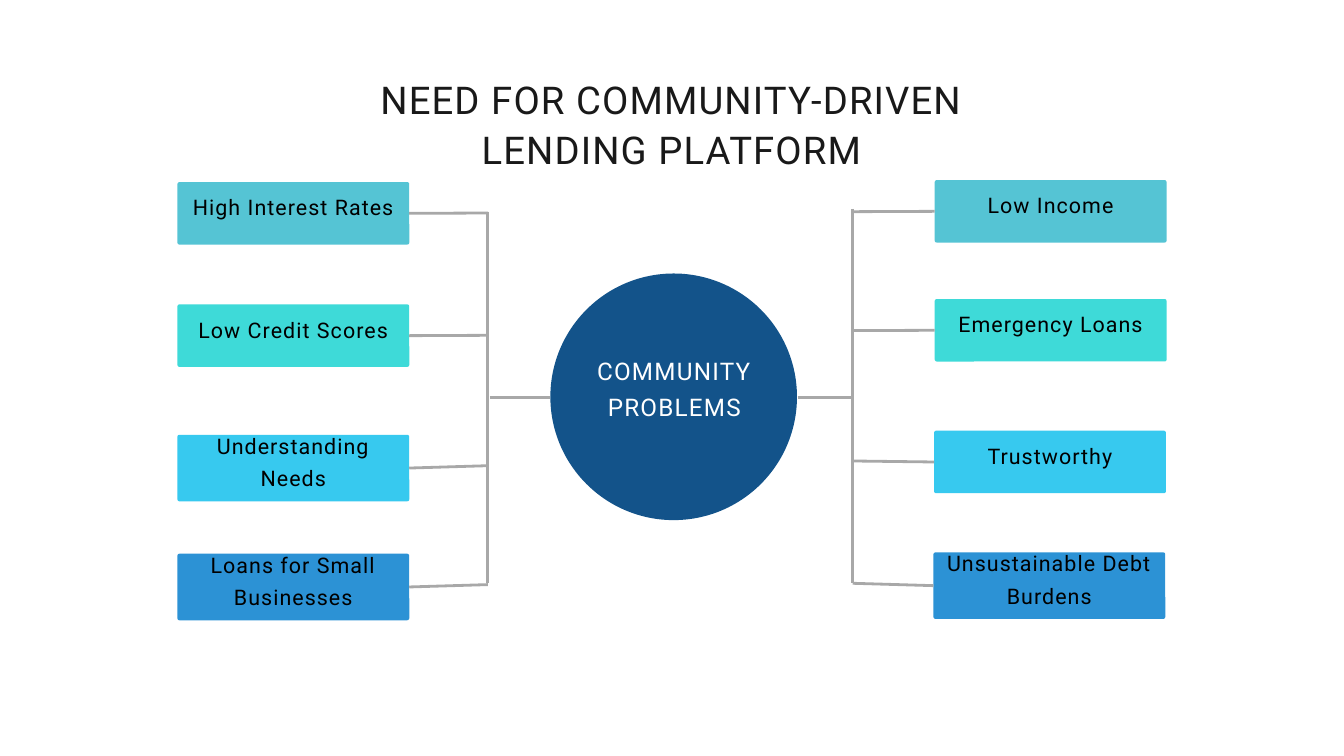
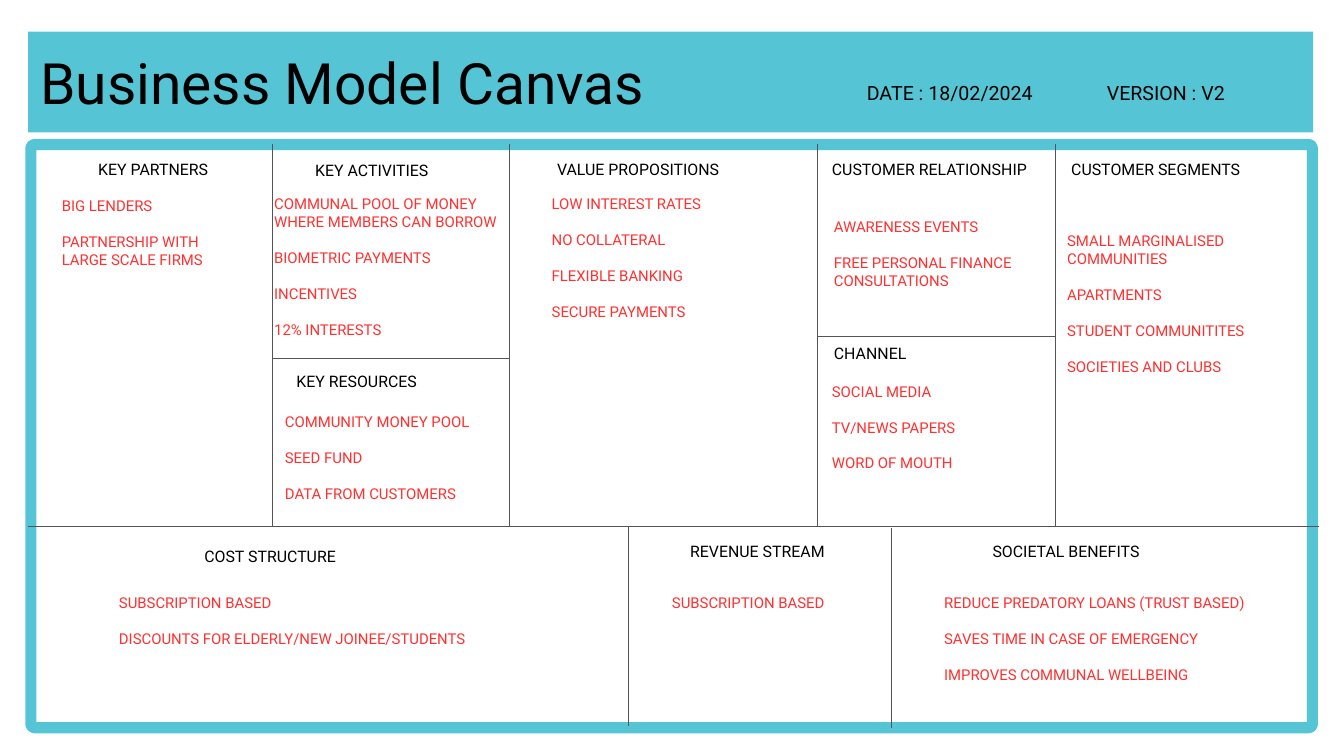
from pptx import Presentation
from pptx.dml.color import RGBColor
from pptx.enum.shapes import MSO_CONNECTOR, MSO_SHAPE
from pptx.enum.text import MSO_ANCHOR, PP_ALIGN
from pptx.oxml.ns import qn
from pptx.util import Inches, Pt
from lxml import etree

RECT, ROUNDED, OVAL = MSO_SHAPE.RECTANGLE, MSO_SHAPE.ROUNDED_RECTANGLE, MSO_SHAPE.OVAL
STRAIGHT = MSO_CONNECTOR.STRAIGHT
LEFT, CENTER = PP_ALIGN.LEFT, PP_ALIGN.CENTER
TOP, MIDDLE = MSO_ANCHOR.TOP, MSO_ANCHOR.MIDDLE

# Shared colours and font
FONT = "Roboto"
BLACK = RGBColor(0x00, 0x00, 0x00)
WHITE = RGBColor(0xFF, 0xFF, 0xFF)
INK = RGBColor(0x19, 0x19, 0x19)
RED = RGBColor(0xFF, 0x31, 0x31)
GREY = RGBColor(0xA8, 0xA8, 0xA8)
RULE = RGBColor(0x54, 0x54, 0x54)
NAVY = RGBColor(0x13, 0x53, 0x8A)
TEAL = RGBColor(0x55, 0xC4, 0xD4)
TURQUOISE = RGBColor(0x3E, 0xDA, 0xD8)
SKY = RGBColor(0x37, 0xC9, 0xEF)
BLUE = RGBColor(0x2C, 0x92, 0xD5)
ROW_COLORS = (TEAL, TURQUOISE, SKY, BLUE)

# Problem diagram: label, left, top, height, y where the branch meets the trunk
CARD_W = 3.45
LEFT_PROBLEMS = [
    ("High Interest Rates", 2.64, 2.71, 0.93, 3.17),
    ("Low Credit Scores", 2.64, 4.53, 0.93, 4.99),
    ("Understanding Needs", 2.64, 6.47, 0.99, 6.93),
    ("Loans for Small Businesses", 2.64, 8.24, 0.99, 8.7),
]
RIGHT_PROBLEMS = [
    ("Low Income", 13.91, 2.68, 0.93, 3.15),
    ("Emergency Loans", 13.91, 4.45, 0.93, 4.92),
    ("Trustworthy", 13.9, 6.41, 0.93, 6.86),
    ("Unsustainable Debt Burdens", 13.89, 8.22, 0.99, 8.68),
]

# Canvas rules: x1, y1, x2, y2
CANVAS_RULES = [
    (0.42, 7.83, 19.63, 7.83),
    (4.05, 5.33, 7.58, 5.33),
    (12.17, 5, 15.71, 5),
    *[(x, 2.15, x, 7.83) for x in (4.05, 7.58, 12.17, 15.7)],
    (9.35, 7.83, 9.35, 10.81),
    (13.26, 7.86, 13.26, 10.83),
]

# Canvas blocks: heading, its left, top, width; entries' left, top, width, height; entries
CANVAS_BLOCKS = [
    ("KEY PARTNERS", (1.46, 2.38, 2.34), (0.92, 2.93, 2.15, 1.05),
     ["BIG LENDERS", "PARTNERSHIP WITH LARGE SCALE FIRMS"]),
    ("KEY ACTIVITIES", (4.69, 2.39, 2.38), (4.08, 2.9, 3.51, 2.09),
     ["COMMUNAL POOL OF MONEY WHERE MEMBERS CAN BORROW", "BIOMETRIC PAYMENTS",
      "INCENTIVES", "12% INTERESTS"]),
    ("KEY RESOURCES", (4.41, 5.53, 2.51), (4.24, 6.14, 3, 1.31),
     ["COMMUNITY MONEY POOL", "SEED FUND", "DATA FROM CUSTOMERS"]),
    ("VALUE PROPOSITIONS", (8.29, 2.38, 3.11), (8.21, 2.9, 2.29, 1.83),
     ["LOW INTEREST RATES", "NO COLLATERAL", "FLEXIBLE BANKING", "SECURE PAYMENTS"]),
    ("CUSTOMER RELATIONSHIP", (12.38, 2.37, 2.94), (12.41, 3.24, 3.13, 1.05),
     ["AWARENESS EVENTS", "FREE PERSONAL FINANCE CONSULTATIONS"]),
    ("CHANNEL", (12.41, 5.11, 1.3), (12.38, 5.69, 1.9, 1.31),
     ["SOCIAL MEDIA", "TV/NEWS PAPERS", "WORD OF MOUTH"]),
    ("CUSTOMER SEGMENTS", (15.94, 2.38, 2.55), (15.88, 3.45, 3.13, 2.09),
     ["SMALL MARGINALISED COMMUNITIES", "APARTMENTS", "STUDENT COMMUNITITES",
      "SOCIETIES AND CLUBS"]),
    ("COST STRUCTURE", (3.04, 8.14, 3.29), (1.77, 8.84, 5.28, 0.79),
     ["SUBSCRIPTION BASED", "DISCOUNTS FOR ELDERLY/NEW JOINEE/STUDENTS"]),
    ("REVENUE STREAM", (10.27, 8.06, 2.3), (10, 8.84, 2.3, 0.27),
     ["SUBSCRIPTION BASED"]),
    ("SOCIETAL BENEFITS", (14.77, 8.06, 3.19), (14.05, 8.84, 4.62, 1.31),
     ["REDUCE PREDATORY LOANS (TRUST BASED)", "SAVES TIME IN CASE OF EMERGENCY",
      "IMPROVES COMMUNAL WELLBEING"]),
]


def add_box(slide, kind, x, y, w, h, fill, line=None, line_pt=0, radius=None):
    """Add a filled preset shape, with an outline if a line colour is given."""
    sp = slide.shapes.add_shape(kind, Inches(x), Inches(y), Inches(w), Inches(h))
    sp.shadow.inherit = False
    sp.fill.solid()
    sp.fill.fore_color.rgb = fill
    if line is None:
        sp.line.fill.background()
    else:
        sp.line.color.rgb = line
        sp.line.width = Pt(line_pt)
    if radius is not None:
        sp.adjustments[0] = radius / min(w, h)
    return sp


def add_line(slide, x1, y1, x2, y2, color, width):
    cn = slide.shapes.add_connector(STRAIGHT, Inches(x1), Inches(y1), Inches(x2), Inches(y2))
    cn.line.color.rgb = color
    cn.line.width = Pt(width)
    etree.SubElement(cn._element.spPr, qn("a:effectLst"))
    return cn


def add_text(slide, x, y, w, h, paragraphs, size, leading, color=BLACK, align=LEFT,
             anchor=TOP, inset=0, tracking=0, gap=0):
    """Add a text box with fixed line spacing; tracking is in points."""
    tf = slide.shapes.add_textbox(Inches(x), Inches(y), Inches(w), Inches(h)).text_frame
    tf.word_wrap = True
    tf.vertical_anchor = anchor
    tf.margin_left = tf.margin_right = tf.margin_top = tf.margin_bottom = Inches(inset)
    for i, text in enumerate(paragraphs):
        p = tf.add_paragraph() if i else tf.paragraphs[0]
        r = p.add_run()
        r.text = text
        p.alignment = align
        p.line_spacing = Pt(leading)
        if i:
            p.space_before = Pt(gap)
        p.font.name = FONT
        p.font.size = Pt(size)
        p.font.color.rgb = color
        if tracking:
            r._r.get_or_add_rPr().set("spc", str(round(tracking * 100)))


def add_problem(slide, label, x, y, h, fill, trunk_x, trunk_y, side):
    """Add a problem card and the branch from its side to the trunk."""
    card = add_box(slide, ROUNDED, x, y, CARD_W, h, fill, radius=0.03)
    add_text(slide, x, y - 0.28, CARD_W, h + 0.28, [label], 23, 34.5, align=CENTER,
             anchor=MIDDLE, inset=0.06, tracking=1.1)
    branch = add_line(slide, x, y, trunk_x, trunk_y, GREY, 3)
    branch.begin_connect(card, side)


def add_canvas_block(slide, heading, heading_at, entries_at, entries):
    x, y, w = heading_at
    add_text(slide, x, y, w, 0.29, [heading], 17, 20.4)
    add_text(slide, *entries_at, entries, 16, 19.2, color=RED, gap=19.2)


def build_problems(slide):
    # Trunks and stems
    add_line(slide, 7.26, 3.15, 7.26, 8.68, GREY, 3)
    add_line(slide, 12.69, 3.11, 12.69, 8.68, GREY, 3)
    add_line(slide, 7.29, 5.91, 8.19, 5.91, GREY, 3)
    add_line(slide, 11.87, 5.91, 12.67, 5.91, GREY, 3)

    # Cards on both sides
    for problems, trunk_x, side in ((LEFT_PROBLEMS, 7.26, 3), (RIGHT_PROBLEMS, 12.69, 1)):
        for (label, x, y, h, trunk_y), fill in zip(problems, ROW_COLORS):
            add_problem(slide, label, x, y, h, fill, trunk_x, trunk_y, side)

    # Hub and title
    add_box(slide, OVAL, 8.19, 4.07, 3.67, 3.67, NAVY)
    add_text(slide, 8.54, 4.07, 2.99, 3.33, ["COMMUNITY PROBLEMS"], 26, 39, color=WHITE,
             align=CENTER, anchor=MIDDLE, inset=0.06, tracking=1.3)
    add_text(slide, 4.55, 1.07, 10.89, 1.47, ["NEED FOR COMMUNITY-DRIVEN LENDING PLATFORM"],
             41, 53.7, color=INK, align=CENTER, tracking=1.2)


def build_canvas(slide):
    # Frame and rules
    add_box(slide, ROUNDED, 0.46, 2.15, 19.07, 8.68, WHITE, TEAL, 12, radius=0.06)
    for rule in CANVAS_RULES:
        add_line(slide, *rule, RULE, 0.75)

    # Header band
    add_box(slide, RECT, 0.42, 0.47, 19.12, 1.5, TEAL)
    add_text(slide, 0.6, 0.71, 12, 1.01, ["Business Model Canvas"], 61, 73.2)
    add_text(slide, 12.9, 1.23, 2.8, 0.33, ["DATE : 18/02/2024"], 21, 23.1)
    add_text(slide, 16.47, 1.23, 2.28, 0.33, ["VERSION : V2"], 21, 23.1)

    for block in CANVAS_BLOCKS:
        add_canvas_block(slide, *block)


def main():
    prs = Presentation()
    prs.slide_width = Inches(20)
    prs.slide_height = Inches(11.25)
    blank = prs.slide_layouts[6]
    for build in (build_problems, build_canvas):
        build(prs.slides.add_slide(blank))
    prs.save("out.pptx")


if __name__ == "__main__":
    main()
